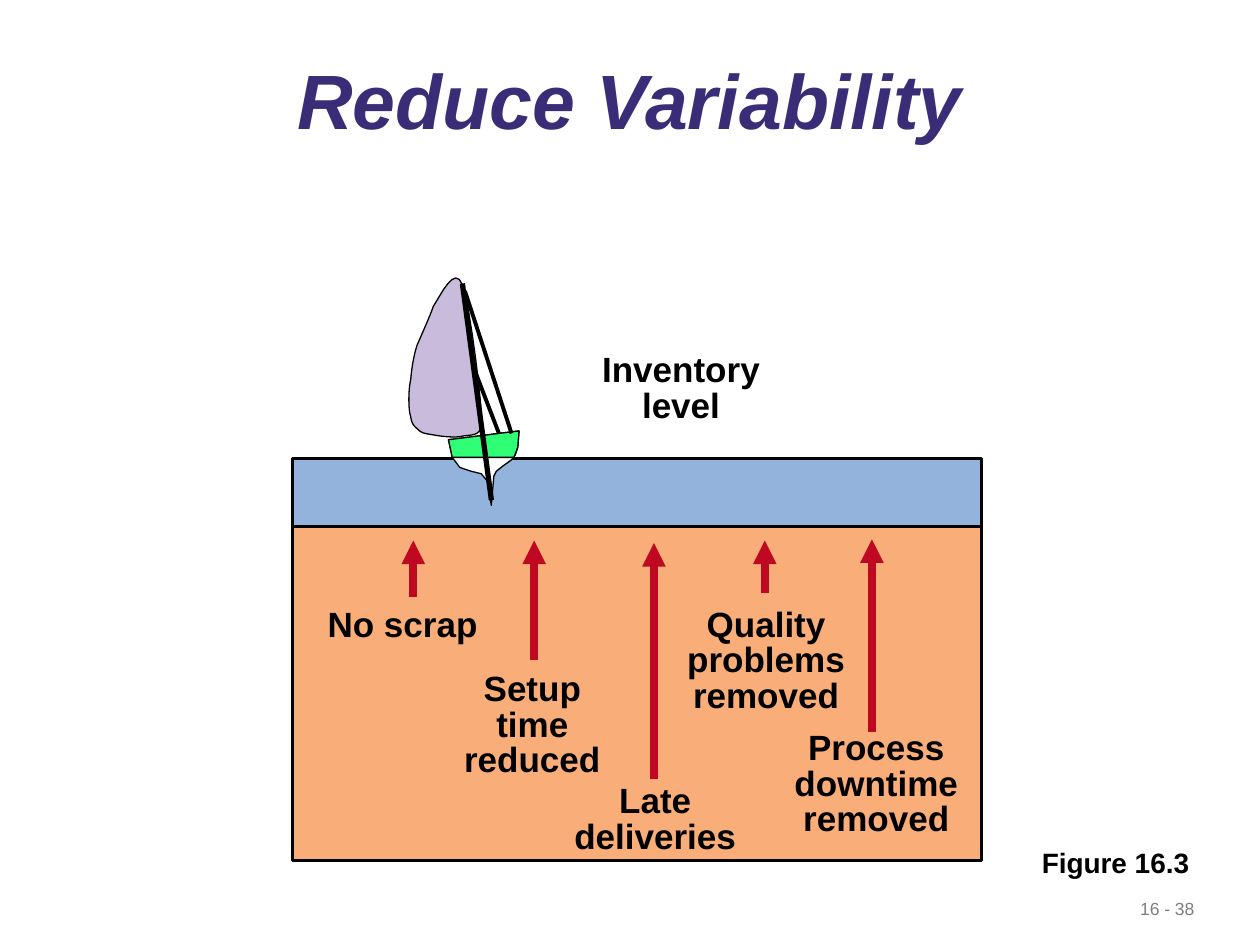
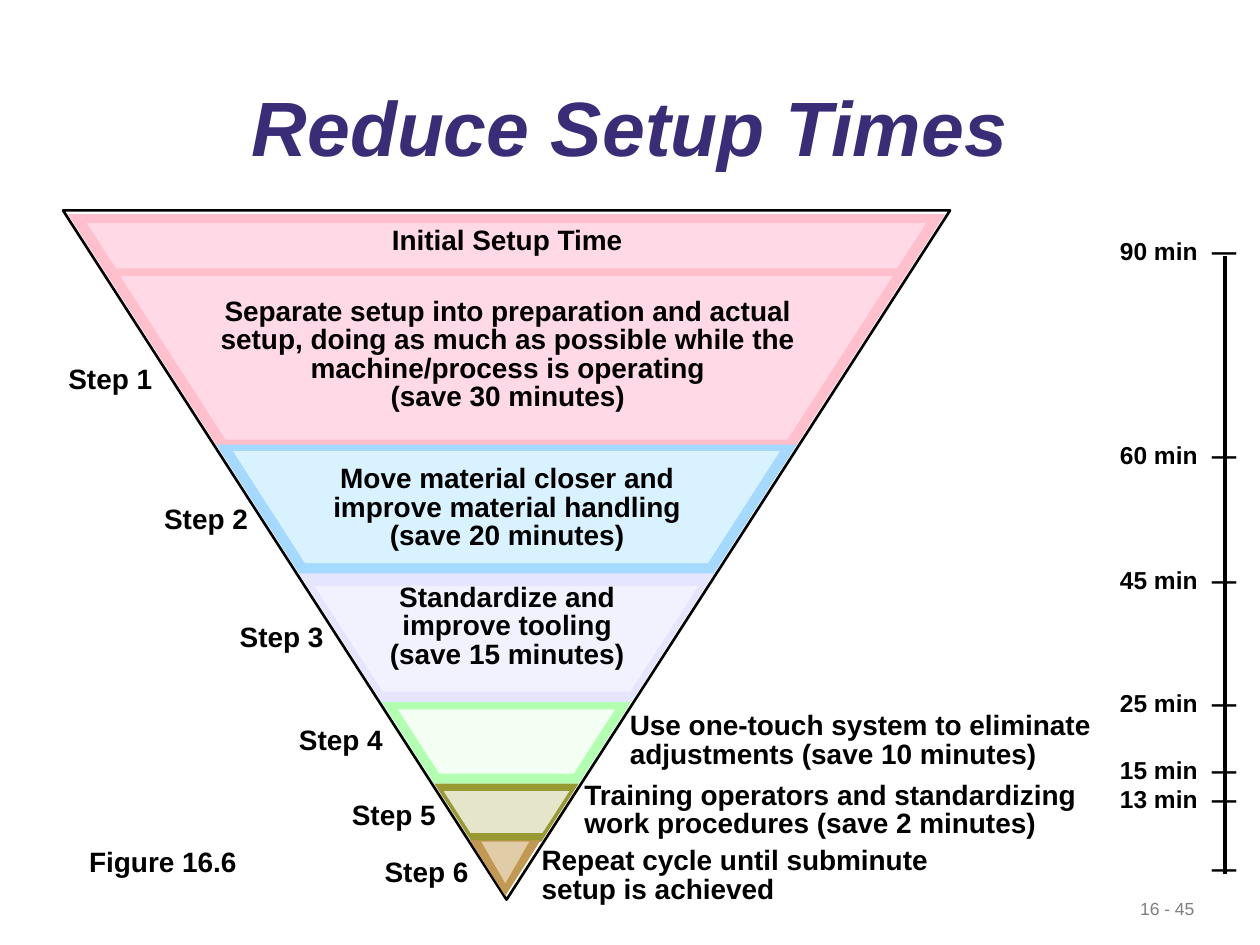
from dataclasses import dataclass

from lxml import etree
from pptx import Presentation
from pptx import util as u
from pptx.dml.color import RGBColor
from pptx.enum import shapes, text
from pptx.oxml import ns

FONT = "Arial"
COLS, ROWS = 100, 75
CELL = u.Inches(10) / COLS
HUES = {
    "title": "3A2C76", "ink": "000000", "page": "7F7F7F", "arrow": "BF0922",
    "bed": "F9AD78", "sea": "93B3DD", "sail": "C9BBDB", "hull": "FFFFFF", "deck": "2FFF74",
    "pink": "FFBFCC", "pale pink": "FFD9E5", "blue": "A6D9FF", "pale blue": "D9F2FF",
    "lilac": "E5E5FF", "pale lilac": "F2F2FF", "green": "B2FFB2", "pale green": "F2FFF2",
    "olive": "999933", "pale olive": "E5E5CC", "tan": "C29952", "pale tan": "E0CCA6",
}
LEFT, MID = text.PP_ALIGN.LEFT, text.PP_ALIGN.CENTER


@dataclass
class Box:
    """A region measured in grid cells."""
    x: float
    y: float
    w: float
    h: float

    def sub(self, x, y, w, h):
        """Return a region set off from this one's corner."""
        return Box(self.x + x, self.y + y, w, h)

    def spot(self, x, y):
        """Return a point of this region in EMU."""
        return round((self.x + x) * CELL), round((self.y + y) * CELL)

    def frame(self):
        """Return left, top, width and height in EMU."""
        return *self.spot(0, 0), round(self.w * CELL), round(self.h * CELL)


def hue(name):
    """Return a named colour."""
    return RGBColor.from_string(HUES[name])


def paint(shape, fill=None, width=0):
    """Set the fill and outline of a shape."""
    shape.shadow.inherit = False
    if fill:
        shape.fill.solid()
        shape.fill.fore_color.rgb = hue(fill)
    else:
        shape.fill.background()
    if width:
        shape.line.color.rgb = hue("ink")
        shape.line.width = u.Pt(width)
    else:
        shape.line.fill.background()


def form(slide, kind, box, fill=None, width=0):
    """Add a preset shape."""
    shape = slide.shapes.add_shape(kind, *box.frame())
    paint(shape, fill, width)
    return shape


def outline(slide, box, dots, fill, width=0):
    """Add a closed outline through points of a box."""
    first, *rest = [box.spot(*dot) for dot in dots]
    pen = slide.shapes.build_freeform(*first, scale=1.0)
    pen.add_line_segments(rest, close=True)
    paint(pen.convert_to_shape(), fill, width)


def curve(start, parts, steps=8):
    """Return points along joined cubic curves."""
    dots = [start]
    for b, c, d in parts:
        a = dots[-1]
        for i in range(1, steps + 1):
            t = i / steps
            s = 1 - t
            dots.append(tuple(s**3 * p + 3 * s * s * t * q + 3 * s * t * t * r + t**3 * v
                              for p, q, r, v in zip(a, b, c, d)))
    return dots


def line(slide, box, start, end, width, color="ink", arrow=False):
    """Add a straight line, with an arrowhead if asked."""
    link = slide.shapes.add_connector(
        shapes.MSO_CONNECTOR.STRAIGHT, *box.spot(*start), *box.spot(*end))
    link.line.color.rgb = hue(color)
    link.line.width = u.Pt(width)
    if arrow:
        etree.SubElement(link.line._get_or_add_ln(), ns.qn("a:tailEnd"), type="triangle")
    etree.SubElement(link._element.spPr, ns.qn("a:effectLst"))


def write(para, words, size, color="ink", align=LEFT, lead=0.85, bold=True, slant=False):
    """Fill a paragraph with one styled run."""
    para.alignment = align
    para.line_spacing = lead
    run = para.add_run()
    run.text = words
    font = run.font
    font.name, font.size, font.bold, font.italic = FONT, u.Pt(size), bold, slant
    font.color.rgb = hue(color)


def label(slide, box, words, size=16, wrap=True, tab=None, **style):
    """Add a text box with one paragraph for each line of words."""
    frame = slide.shapes.add_textbox(*box.frame()).text_frame
    frame.word_wrap = wrap
    frame.auto_size = text.MSO_AUTO_SIZE.SHAPE_TO_FIT_TEXT
    for i, part in enumerate(words.split("\n")):
        para = frame.add_paragraph() if i else frame.paragraphs[0]
        if tab:
            stops = etree.SubElement(para._p.get_or_add_pPr(), ns.qn("a:tabLst"))
            etree.SubElement(stops, ns.qn("a:tab"), pos=str(round(tab * CELL)), algn="l")
        write(para, part, size, **style)


def start(deck, name, top, page, figure, spot):
    """Add a slide with its title, page number and figure number."""
    slide = deck.slides.add_slide(deck.slide_layouts[5])
    head = slide.shapes.title
    head.left, head.top, head.width, head.height = Box(7.5, top, 85, 10.1).frame()
    frame = head.text_frame
    frame.auto_size = text.MSO_AUTO_SIZE.NONE
    frame.vertical_anchor = text.MSO_ANCHOR.MIDDLE
    write(frame.paragraphs[0], name, 44, "title", MID, 0.8, slant=True)
    label(slide, Box(89.5, 70.8, 11.1, 2.7), page, 10, False, color="page", lead=1, bold=False)
    label(slide, Box(*spot, 13.7, 3.7), figure, wrap=False, lead=1)
    return slide


CAUSES = [
    ("No scrap", (1.8, 6, 13.9, 3.9), 9.6, 1.1, 5.6),
    ("Setup time reduced", (12.2, 11.1, 13.7, 9.5), 19.2, 1.1, 10.6),
    ("Late deliveries", (21.2, 20, 15.2, 6.7), 28.7, 1.3, 20),
    ("Quality problems removed", (29.7, 6, 15.8, 9.5), 37.5, 1.1, 5.3),
    ("Process downtime removed", (38, 15.8, 16.7, 9.5), 46, 1, 16.3),
]


def draw_bed(slide, box):
    """Draw the sea bed with its causes and arrows."""
    form(slide, shapes.MSO_SHAPE.RECTANGLE, box, "bed", 1.5)
    for words, place, x, top, foot in CAUSES:
        label(slide, box.sub(*place), words, 20, words != "No scrap", align=MID)
        line(slide, box, (x, foot), (x, top), 4.5, "arrow", True)


SAIL = [
    ((3.7, 0), (2.6, 2.4), (2, 3.3)),
    ((1.8, 3.9), (1.1, 5.5), (0.7, 6.4)),
    ((0.4, 7.4), (0.3, 8.1), (0.2, 9.1)),
    ((0, 10), (0, 11.5), (0.2, 12.1)),
    ((0.3, 12.8), (0.6, 12.9), (0.9, 13.2)),
    ((1.2, 13.4), (1.3, 13.4), (1.9, 13.5)),
    ((2.4, 13.6), (3.7, 13.8), (4.4, 13.6)),
    ((5, 13.5), (5.7, 13.6), (5.8, 12.8)),
    ((6, 12), (4.9, 3.1), (4.3, 1.6)),
]
RIM = [(8.7, 14.5), (8.8, 13.2), (3.2, 13.9), (3.5, 15.3)]
KEEL = [(4.1, 16.1), (5, 16.4), (5.8, 16.6), (6.3, 17.2), (6.6, 19.1), (6.8, 16.8),
        (7, 16.4), (7.5, 16), (8.2, 15.5), (8.5, 15.1)]
ROPES = [((4.5, 2.1), (8.2, 13.4), 2.25), ((5.2, 8.2), (7.2, 13.4), 2.25),
         ((4.3, 1.5), (6.6, 18.7), 3)]


def draw_boat(slide, box):
    """Draw the sailing boat."""
    outline(slide, box, curve((4.3, 1.6), SAIL), "sail", 0.75)
    outline(slide, box, RIM + KEEL, "hull", 0.75)
    outline(slide, box, RIM + [(8.4, 15.3)], "deck", 0.75)
    for top, foot, width in ROPES:
        line(slide, box, top, foot, width)


BANDS = {
    "Initial": ("pink", 0.3, 4.8, 1, 4.8, 1.25),
    "Step 1": ("pink", 4.6, 18.6, 5.2, 18.2, 1.2),
    "Step 2": ("blue", 18.5, 29, 19.1, 28, 1.2),
    "Step 3": ("lilac", 28.8, 39, 29.8, 38.2, 0.8),
    "Step 4": ("green", 38.9, 45.5, 39.6, 44.7, 1.1),
    "Step 5": ("olive", 45.5, 50.1, 46.1, 49.4, 0.55),
}
NOTES = [
    ("Initial Setup Time", (25, 0.9, 20.5, 3.4), MID),
    ("Separate setup into preparation and actual setup, doing as much as possible "
     "while the machine/process is operating\n(save 30 minutes)", (9, 6.5, 52.6, 10.2), MID),
    ("Move material closer and improve material handling (save 20 minutes)",
     (19.1, 19.8, 32.3, 7.9), MID),
    ("Standardize and improve tooling (save 15 minutes)", (23.1, 29.2, 24.3, 7.9), MID),
    ("Use one-touch system to eliminate adjustments (save 10 minutes)",
     (44, 39.4, 39.1, 5.6), LEFT),
    ("Training operators and standardizing work procedures (save 2 minutes)",
     (40.4, 44.9, 41.3, 5.6), LEFT),
    ("Repeat cycle until subminute setup is achieved", (37, 50.1, 32.9, 5.6), LEFT),
]
STEPS = [(-0.7, 11.9), (6.9, 23), (12.9, 32.4), (17.6, 40.6), (21.8, 46.5), (24.4, 51)]


def draw_band(slide, box, name):
    """Draw one framed band between the sloping sides of the funnel."""
    color, top, foot, roof, floor, inset = BANDS[name]
    slope = box.w / 2 / box.h
    for fill, a, b, gap in ((color, top, foot, 0.2), ("pale " + color, roof, floor, inset)):
        near, far = a * slope + gap, b * slope + gap
        outline(slide, box, [(near, a), (box.w - near, a), (box.w - far, b), (far, b)], fill)


def draw_funnel(slide, box):
    """Draw the funnel of setup steps with its labels."""
    def wedge(place, fill=None, width=0):
        """Add a triangle that points down."""
        form(slide, shapes.MSO_SHAPE.ISOSCELES_TRIANGLE, place, fill, width).rotation = 180

    for name in ("Step 4", "Step 5"):
        draw_band(slide, box, name)
    wedge(box, width=1.5)
    for name in ("Initial", "Step 2", "Step 1", "Step 3"):
        draw_band(slide, box, name)
    wedge(box.sub(32.3, 50, 5.6, 4.4), "tan")
    wedge(box.sub(33.2, 50.1, 3.8, 3.3), "pale tan")
    for words, place, align in NOTES:
        label(slide, box.sub(*place), words, wrap=words != NOTES[0][0], align=align)
    for i, (x, y) in enumerate(STEPS, 1):
        label(slide, box.sub(x, y, 8.9, 3.4), f"Step {i}", wrap=False, align=MID)


TICKS = [("90 min", 0), ("60 min", 16.2), ("45 min", 26.1), ("25 min", 35.9),
         ("15 min", 41.2), ("13 min", 43.5), ("", 49)]


def draw_scale(slide, box):
    """Draw the time scale with its ticks."""
    line(slide, box, (9.3, 1.7), (9.3, box.h), 2.25)
    for words, y in TICKS:
        label(slide, box.sub(0, y, box.w, 3.1), words + "\t—", 14, tab=7.3)


def main():
    """Build both slides and save them."""
    deck = Presentation()
    deck.slide_width, deck.slide_height = round(COLS * CELL), round(ROWS * CELL)

    slide = start(deck, "Reduce Variability", 3.5, "16 - 38", "Figure 16.3", (81.7, 66.6))
    label(slide, Box(46.1, 27.6, 15.9, 6.7), "Inventory level", 20, align=MID)
    draw_bed(slide, Box(23.2, 41.8, 54.7, 26.5))
    form(slide, shapes.MSO_SHAPE.RECTANGLE, Box(23.2, 36.4, 54.7, 5.4), "sea", 1.5)
    draw_boat(slide, Box(32.4, 21, 8.8, 19.1))

    slide = start(deck, "Reduce Setup Times", 5.6, "16 - 45", "Figure 16.6", (6.1, 66.5))
    draw_funnel(slide, Box(5, 16.7, 70.4, 54.7))
    draw_scale(slide, Box(87.9, 18.6, 11.6, 50.8))

    deck.save("out.pptx")


if __name__ == "__main__":
    main()
